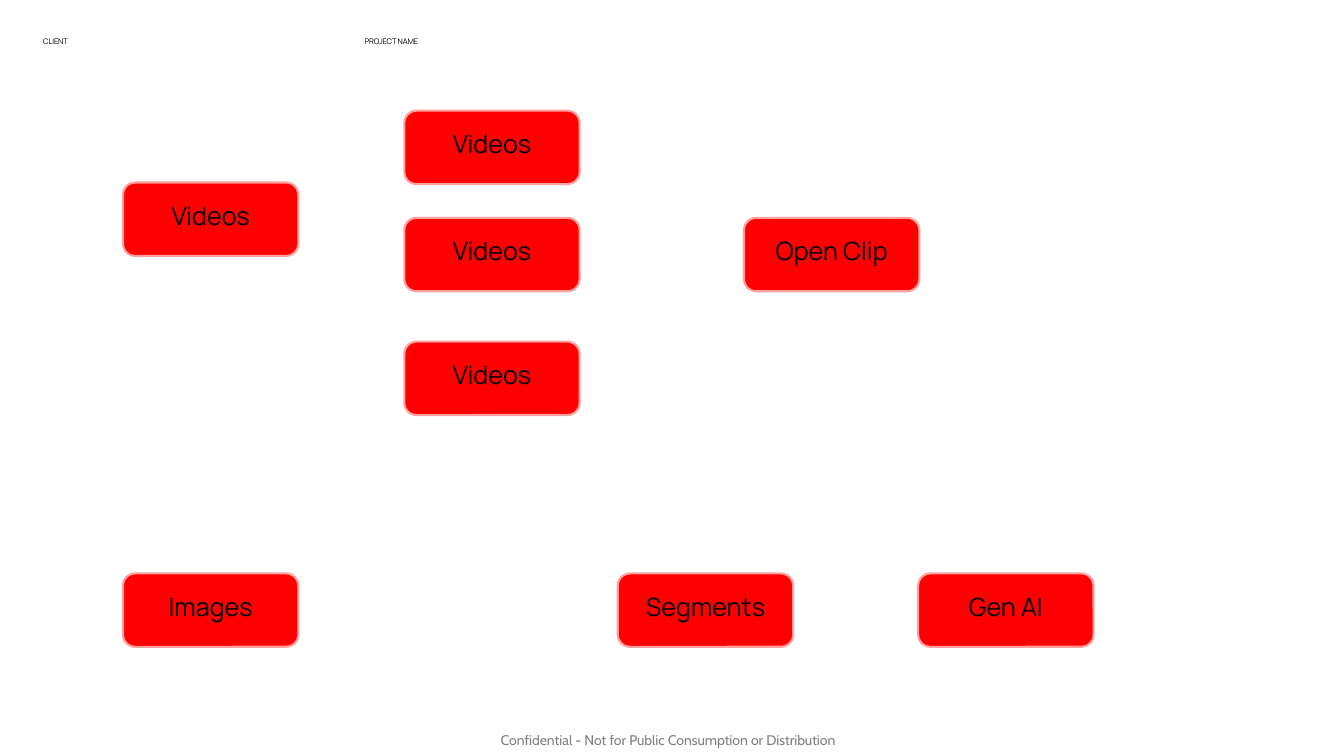
from lxml import etree
from pptx import Presentation
from pptx import util as u
from pptx.dml.color import RGBColor
from pptx.enum import shapes, text
from pptx.oxml.ns import qn

BLACK = RGBColor(0x00, 0x00, 0x00)
RED = RGBColor(0xFF, 0x00, 0x00)
PINK = RGBColor(0xFF, 0x9F, 0x9F)
SANS = "Manrope"


def fit(obj, vals):
    for key, val in vals.items():
        setattr(obj, key, val)


def write(shape, words, font, size, pad, para):
    """Fill a shape with one paragraph; pad is left, top, right, bottom in cm."""
    frame = shape.text_frame
    sides = ("margin_left", "margin_top", "margin_right", "margin_bottom")
    fit(frame, dict(zip(sides, map(u.Cm, pad))))
    fit(frame, {"word_wrap": True, "vertical_anchor": text.MSO_ANCHOR.TOP})
    line = frame.paragraphs[0]
    fit(line, para)
    run = line.add_run()
    run.text = words
    fit(run.font, {"name": font, "size": u.Pt(size)})
    run.font.color.rgb = BLACK
    return run


def label(slide, box, words, font, size, pad, para):
    shape = slide.shapes.add_textbox(*map(u.Cm, box))
    return write(shape, words, font, size, pad, para)


def header(slide, box):
    left, top, width, height = box
    para = {"line_spacing": 1.06, "space_after": u.Pt(5)}
    for words, dx, wide in (("CLIENT", 0, 5), ("PROJECT NAME", 8.1, width - 8.1)):
        run = label(slide, (left + dx, top, wide, height), words, SANS, 5.5,
                    (0, 0.03, 0, 0), para)
        run.font._element.set("spc", "-10")


def flow(slide, box):
    left, top, width, height = box
    wide, high = 4.42, 1.85
    base = height - high  # bottom row sits on the lower edge
    split = 7.09          # column of the split videos
    nodes = (
        # Sources and split videos
        ("Videos", 0, 1.81),
        ("Videos", split, 0),
        ("Videos", split, 2.7),
        ("Videos", split, 5.82),
        # Bottom row
        ("Images", 0, base),
        ("Segments", 12.47, base),
        ("Gen AI", width - wide, base),
        # Model
        ("Open Clip", 15.65, 2.7),
    )
    for words, dx, dy in nodes:
        node = slide.shapes.add_shape(
            shapes.MSO_SHAPE.ROUNDED_RECTANGLE,
            *map(u.Cm, (left + dx, top + dy, wide, high)))
        node.shadow.inherit = False
        node.fill.solid()
        node.fill.fore_color.rgb = RED
        node.line.color.rgb = PINK
        node.line.width = u.Pt(1.5)
        write(node, words, SANS, 18, (0.36,) * 4,
              {"alignment": text.PP_ALIGN.CENTER})


def footer(slide, box):
    run = label(slide, box,
                "Confidential - Not for Public Consumption or Distribution",
                "Cabin", 10, (0,) * 4, {})
    # Half-transparent black
    tone = run.font._element.find(".//" + qn("a:srgbClr"))
    etree.SubElement(tone, qn("a:alpha")).set("val", "50000")


def main():
    deck = Presentation()
    fit(deck, {"slide_width": u.Cm(33.87), "slide_height": u.Cm(19.05)})
    slide = deck.slides.add_slide(deck.slide_layouts[6])
    footer(slide, (12.62, 18.44, 8.69, 0.43))
    header(slide, (1.09, 0.89, 18.9, 0.41))
    flow(slide, (3.1, 2.79, 24.46, 13.51))
    deck.save("out.pptx")


if __name__ == "__main__":
    main()
